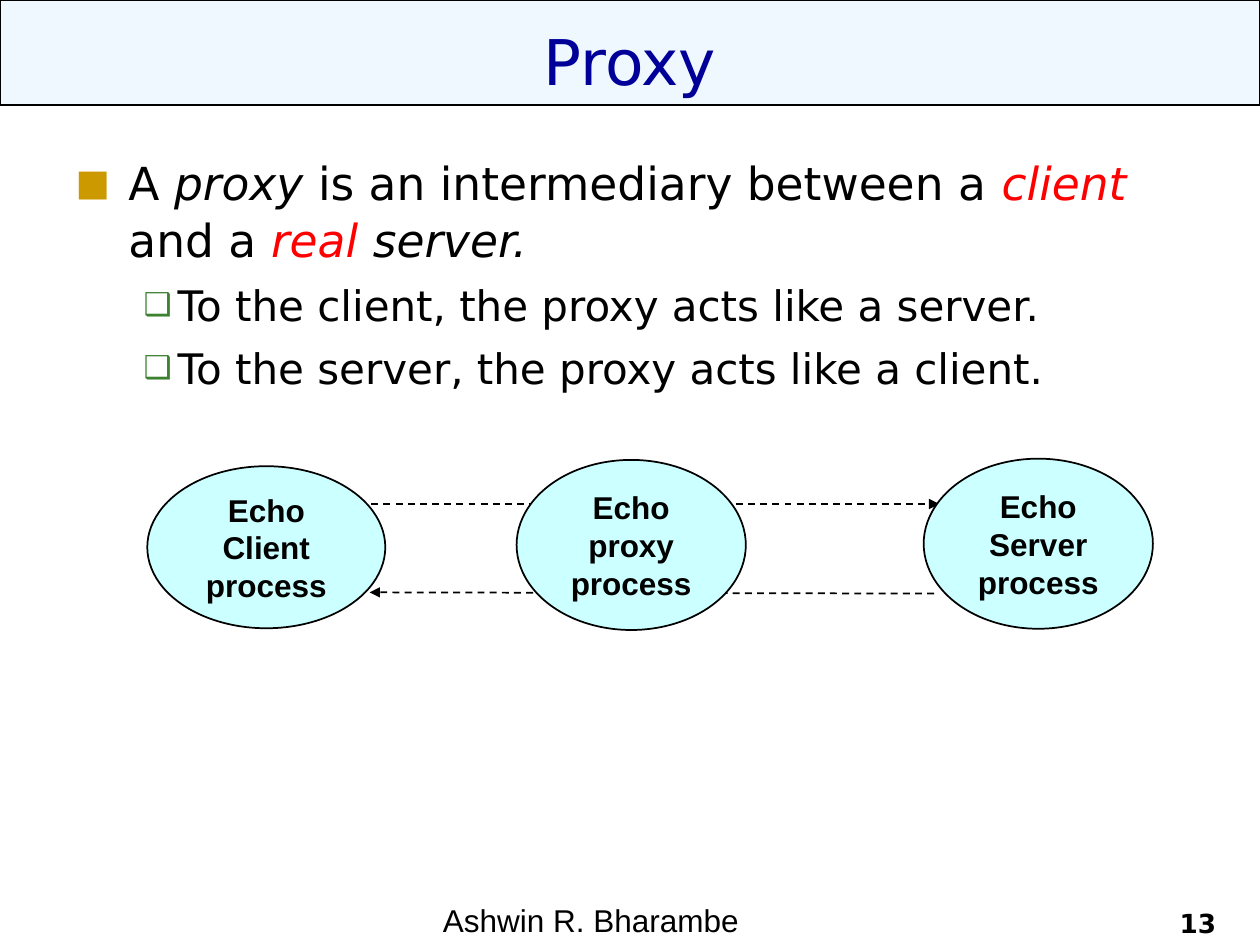
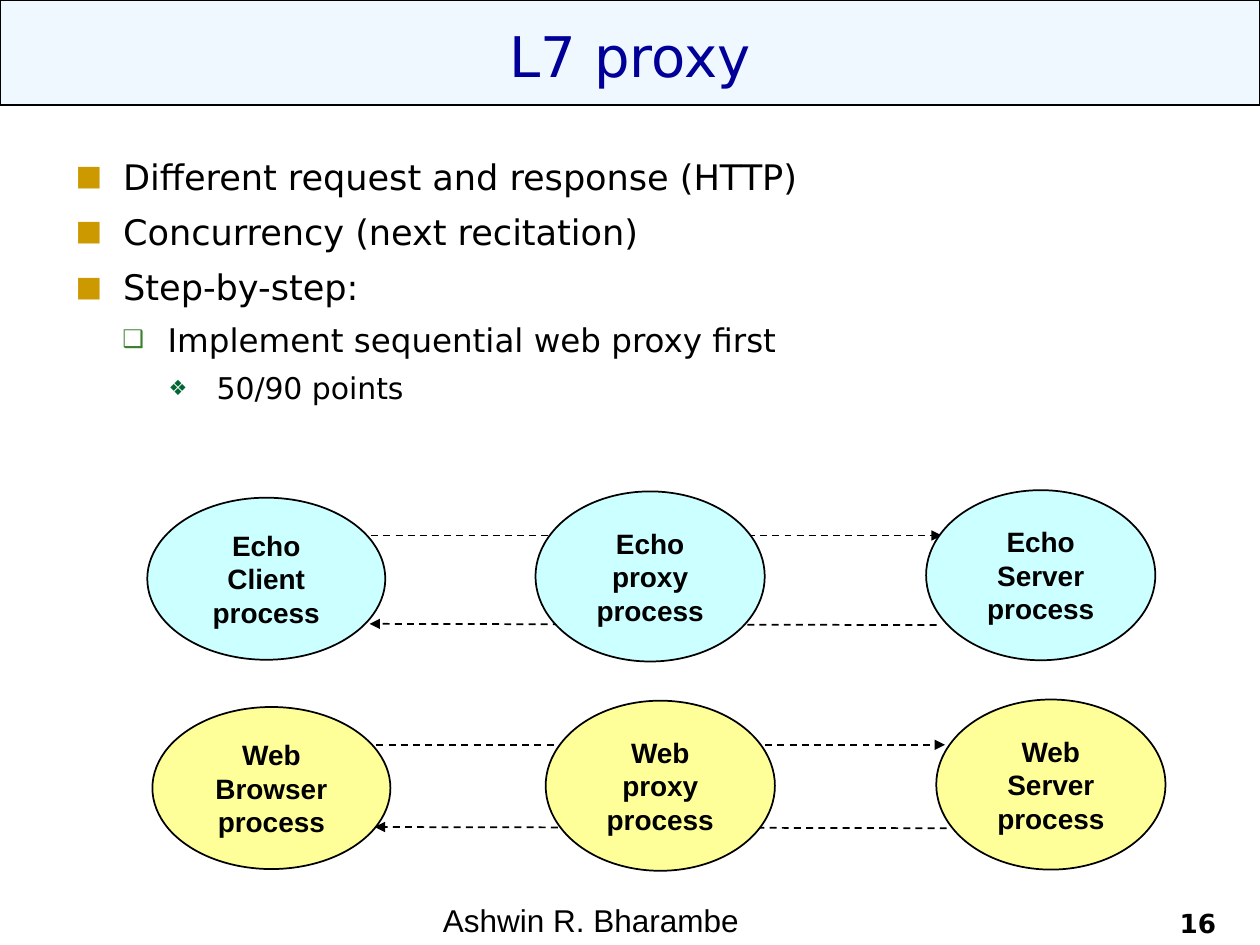
from lxml import etree
from pptx import Presentation
from pptx.dml.color import RGBColor
from pptx.enum.dml import MSO_LINE
from pptx.enum.shapes import MSO_CONNECTOR, MSO_SHAPE
from pptx.enum.text import MSO_ANCHOR, MSO_AUTO_SIZE, PP_ALIGN
from pptx.oxml.ns import qn
from pptx.util import Pt

LEFT, CENTER, RIGHT = PP_ALIGN.LEFT, PP_ALIGN.CENTER, PP_ALIGN.RIGHT
TOP, MIDDLE, BOTTOM = MSO_ANCHOR.TOP, MSO_ANCHOR.MIDDLE, MSO_ANCHOR.BOTTOM
OVAL, RECT = MSO_SHAPE.OVAL, MSO_SHAPE.RECTANGLE
STRAIGHT, DASH = MSO_CONNECTOR.STRAIGHT, MSO_LINE.DASH

BLACK = RGBColor(0x00, 0x00, 0x00)
NAVY = RGBColor(0x00, 0x00, 0x99)
RED = RGBColor(0xFF, 0x00, 0x00)
SKY = RGBColor(0x99, 0xCC, 0xFF)
CYAN = RGBColor(0xCC, 0xFF, 0xFF)
YELLOW = RGBColor(0xFF, 0xFF, 0x99)
GOLD = RGBColor(0xCC, 0x99, 0x00)
GREEN = RGBColor(0x3B, 0x81, 0x2F)
PINE = RGBColor(0x00, 0x66, 0x33)

SANS, ARIAL = "DejaVu Sans", "Arial"
AUTHOR = "Ashwin R. Bharambe"
LEADING = 1.04

# Bullet sign, colour, size in percent and space before, by level
BULLETS = [("■", GOLD, 80, 6.5), ("❑", GREEN, 75, 6), ("❖", PINE, 70, 5.5)]

ECHO = ["Echo Client process", "Echo proxy process", "Echo Server process"]
WEB = ["Web Browser process", "Web proxy process", "Web Server process"]

# body: (level, runs); a run is text or (text, format)
# levels: text size, left margin, hanging indent
# flows: left edges, top of the client, gap between arrows, arrow reach
SLIDES = [
    {
        "title": "Proxy", "size": 36, "number": 13, "height": 302.4,
        "levels": [(26, 30.2, 30.2), (24, 58.3, 19.4)],
        "body": [
            (0, ["A ", ("proxy ", {"italic": True}),
                 "is an intermediary between a ",
                 ("client", {"italic": True, "color": RED}), " and a ",
                 ("real ", {"italic": True, "color": RED}),
                 ("server.", {"italic": True})]),
            (1, ["To the client, the proxy acts like a server."]),
            (1, ["To the server, the proxy acts like a client."]),
        ],
        "label": 18,
        "flows": [
            {"names": ECHO, "fill": CYAN, "lefts": (84.2, 295.2, 527.8),
             "top": 266.4, "gap": 50.5, "reach": 9},
        ],
    },
    {
        "title": "L7 proxy", "size": 32, "number": 16, "height": 150,
        "levels": [(20.1, 27.2, 27.2), (18.6, 52.6, 25.9), (17.1, 80.6, 27.4)],
        "body": [
            (0, ["Different request and response (HTTP)"]),
            (0, ["Concurrency (next recitation)"]),
            (0, ["Step-by-step:"]),
            (1, ["Implement sequential web proxy first"]),
            (2, ["50/90 points"]),
        ],
        "label": 16,
        "flows": [
            {"names": ECHO, "fill": CYAN, "lefts": (84.2, 306, 529.2),
             "top": 284.4, "gap": 50.5, "reach": 9},
            {"names": WEB, "fill": YELLOW, "lefts": (87.1, 311.8, 535),
             "top": 404, "gap": 47, "reach": 5},
        ],
    },
]


def place(shape, *box):
    shape.left, shape.top, shape.width, shape.height = map(Pt, box)


def child(parent, tag, **attrs):
    node = etree.SubElement(parent, qn(tag))
    for key, value in attrs.items():
        node.set(key, str(value))
    return node


def write(par, text, size=18, font=ARIAL, color=BLACK, bold=False,
          italic=False, align=None):
    run = par.add_run()
    run.text = text
    face = run.font
    face.size, face.name = Pt(size), font
    face.bold, face.italic = bold, italic
    face.color.rgb = color
    if align is not None:
        par.alignment = align


def frame_of(shape, anchor, wrap=True):
    frame = shape.text_frame
    frame.auto_size = MSO_AUTO_SIZE.NONE
    frame.word_wrap = wrap
    frame.vertical_anchor = anchor
    return frame


def next_par(frame, index):
    return frame.add_paragraph() if index else frame.paragraphs[0]


def add_band(slide, master):
    """Draw the title band and hand it to the master, behind all else."""
    band = slide.shapes.add_shape(RECT, 0, 0, Pt(720), Pt(60))
    band.shadow.inherit = False
    band.fill.solid()
    band.fill.fore_color.rgb = SKY
    tint = band.element.spPr.find(qn("a:solidFill"))[0]
    child(tint, "a:alpha", val=15000)
    band.line.color.rgb = BLACK
    band.line.width = Pt(0.75)
    band.element.nvSpPr.cNvPr.set("id", "99")
    master.shapes.element.insert(2, band.element)


def add_title(slide, page):
    title = slide.shapes.title
    place(title, 36, 6, 648, 54)
    frame = frame_of(title, TOP)
    frame.margin_top = Pt(5)
    par = frame.paragraphs[0]
    par.line_spacing = LEADING
    write(par, page["title"], size=page["size"], font=SANS, color=NAVY,
          align=CENTER)


def add_body(slide, page):
    body = slide.placeholders[1]
    place(body, 36, 84, 648, page["height"])
    frame = frame_of(body, TOP)
    for index, (level, runs) in enumerate(page["body"]):
        size, margin, hang = page["levels"][level]
        sign, color, percent, before = BULLETS[level]
        par = next_par(frame, index)
        par.level = level
        props = par._p.get_or_add_pPr()
        props.set("marL", str(Pt(margin)))
        props.set("indent", str(-Pt(hang)))
        child(child(props, "a:buClr"), "a:srgbClr", val=color)
        child(props, "a:buSzPct", val=percent * 1000)
        child(props, "a:buFont", typeface=SANS)
        child(props, "a:buChar", char=sign)
        par.line_spacing = LEADING
        par.space_before = Pt(before if index else 0)
        for run in runs:
            text, style = (run, {}) if isinstance(run, str) else run
            write(par, text, size=size, font=SANS, align=LEFT, **style)


def add_oval(slide, name, fill, size, *box):
    oval = slide.shapes.add_shape(OVAL, *map(Pt, box))
    oval.shadow.inherit = False
    oval.fill.solid()
    oval.fill.fore_color.rgb = fill
    oval.line.color.rgb = BLACK
    oval.line.width = Pt(1)
    frame = frame_of(oval, MIDDLE, wrap=False)
    for index, word in enumerate(name.split()):
        write(next_par(frame, index), word, size=size, bold=True,
              align=CENTER)


def add_arrow(slide, *ends):
    arrow = slide.shapes.add_connector(STRAIGHT, *map(Pt, ends))
    arrow.line.color.rgb = BLACK
    arrow.line.width = Pt(1)
    arrow.line.dash_style = DASH
    child(arrow.line._get_or_add_ln(), "a:tailEnd", type="triangle")
    child(arrow.element.spPr, "a:effectLst")


def add_flow(slide, size, names, fill, lefts, top, gap, reach):
    """Client, proxy and server with a request arrow and a reply arrow."""
    client, proxy, server = names
    near, mid, far = lefts
    edge = near + 136
    ask = top + 21.6
    reply = ask + gap
    add_oval(slide, client, fill, size, near, top, 136, 92.6)
    add_arrow(slide, edge - 8, ask, far + reach, ask)
    add_oval(slide, server, fill, size, far, top - 4.3, 131, 97.2)
    add_arrow(slide, far + 6, reply + 0.7, edge - 9, reply)
    add_oval(slide, proxy, fill, size, mid, top - 3.6, 131, 97.2)


def add_note(slide, text, box, **style):
    note = slide.shapes.add_textbox(*map(Pt, box))
    write(frame_of(note, BOTTOM).paragraphs[0], text, **style)


def main():
    deck = Presentation()
    deck.slide_width, deck.slide_height = Pt(720), Pt(540)
    for index, page in enumerate(SLIDES):
        slide = deck.slides.add_slide(deck.slide_layouts[1])
        if index == 0:
            add_band(slide, deck.slide_master)
        add_title(slide, page)
        add_body(slide, page)
        for flow in page["flows"]:
            add_flow(slide, page["label"], **flow)
        add_note(slide, AUTHOR, (246, 528, 228, 12))
        add_note(slide, str(page["number"]), (534, 522, 168, 18),
                 size=15, font=SANS, bold=True, align=RIGHT)
    deck.save("out.pptx")


if __name__ == "__main__":
    main()
